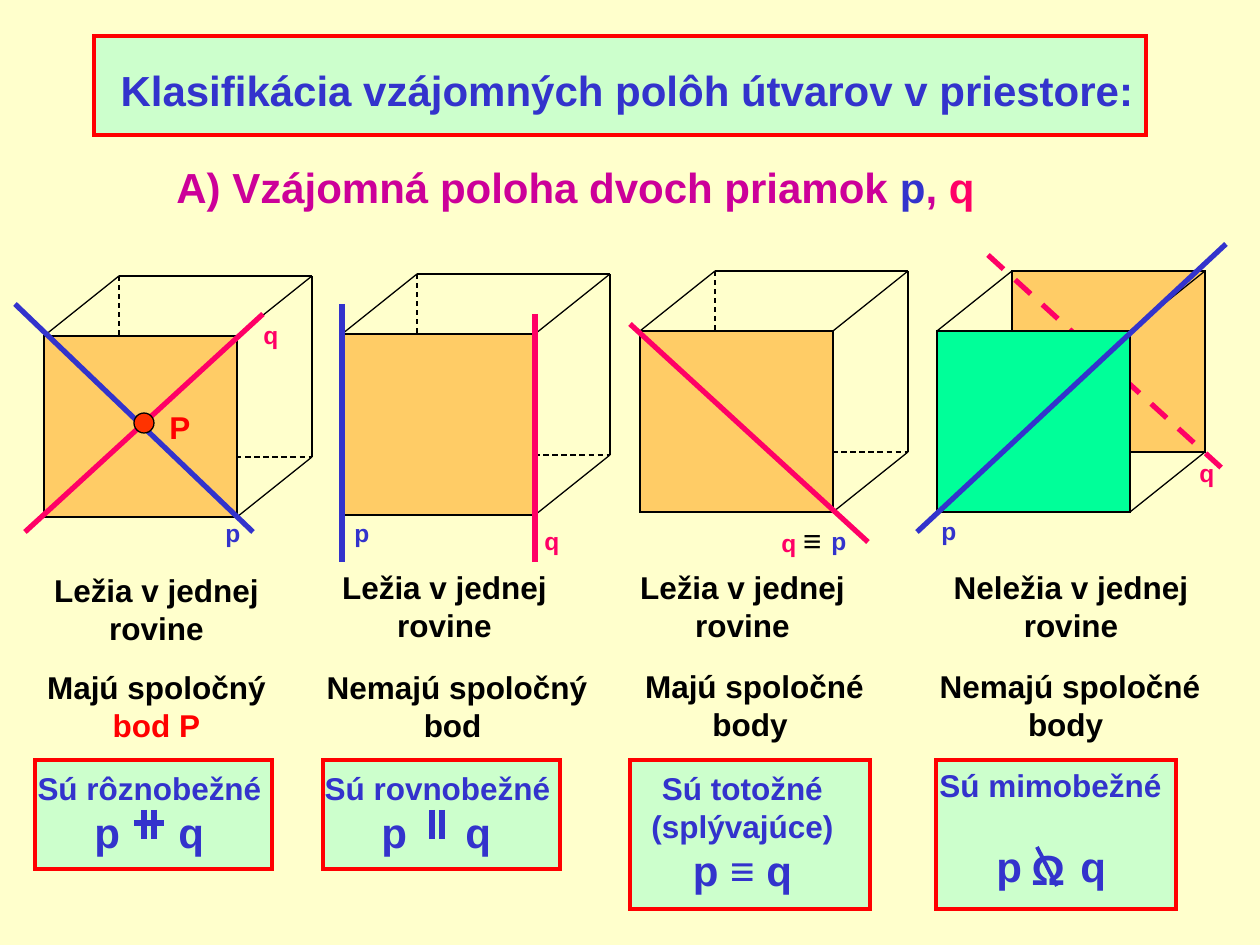
"""Build a slide that sorts the mutual positions of two lines in space."""
from dataclasses import dataclass
from typing import NamedTuple

from lxml import etree
from pptx import Presentation
from pptx import util as u
from pptx.dml.color import RGBColor
from pptx.enum import dml, shapes, text
from pptx.oxml.ns import qn

SCALE = 9144000 / 1260


@dataclass(frozen=True)
class Theme:
    font: str = "Arial"
    page: str = "FFFFCC"
    panel: str = "CCFFCC"
    face: str = "FFCC66"
    front: str = "00FF99"
    ink: str = "000000"
    red: str = "FF0000"
    dot: str = "FF3300"
    p: str = "3333CC"
    q: str = "FF0066"
    head: str = "CC0099"
    big: int = 24
    mid: int = 18
    small: int = 14
    thin: float = 0.75
    edge: float = 2
    slash: float = 2.25
    thick: float = 3


T = Theme()


class Box(NamedTuple):
    x: int
    y: int
    w: int
    h: int


class Run(NamedTuple):
    txt: str
    size: int = T.mid
    tint: str = T.ink
    bold: bool = True


class Row(NamedTuple):
    runs: tuple
    mid: bool = True
    gap: int = 0
    tabs: tuple = ()


class Stroke(NamedTuple):
    x1: int
    y1: int
    x2: int
    y2: int
    tint: str = T.ink
    width: float = T.thin
    dash: bool = False


class Label(NamedTuple):
    box: Box
    runs: tuple
    wrap: bool = False


@dataclass(frozen=True)
class Case:
    cube: tuple
    plane: Box
    share: Box
    panel: Box
    claim: Box
    words: tuple
    rows: tuple
    lines: tuple
    signs: tuple
    labels: tuple
    face: str = T.face
    last: str = T.ink
    rear: tuple = ()


def px(val: float) -> int:
    return round(val * SCALE)


def rgb(tint: str) -> RGBColor:
    return RGBColor.from_string(tint)


def place(box: Box) -> list:
    return [px(v) for v in box]


def write(frame, rows, wrap: bool = False) -> None:
    form = {"word_wrap": wrap, "auto_size": text.MSO_AUTO_SIZE.SHAPE_TO_FIT_TEXT,
            "vertical_anchor": text.MSO_ANCHOR.TOP}
    for key, val in form.items():
        setattr(frame, key, val)
    for i, row in enumerate(rows):
        para = frame.add_paragraph() if i else frame.paragraphs[0]
        para.alignment = text.PP_ALIGN.CENTER if row.mid else text.PP_ALIGN.LEFT
        if row.gap:
            para.space_before = u.Pt(row.gap)
        if row.tabs:
            stops = etree.SubElement(para._p.get_or_add_pPr(), qn("a:tabLst"))
            for pos in row.tabs:
                etree.SubElement(stops, qn("a:tab"), pos=str(px(pos)), algn="l")
        for part in row.runs:
            run = para.add_run()
            run.text = part.txt
            for key, val in {"name": T.font, "size": u.Pt(part.size), "bold": part.bold}.items():
                setattr(run.font, key, val)
            run.font.color.rgb = rgb(part.tint)


def note(slide, box: Box, rows, wrap: bool = False) -> None:
    write(slide.shapes.add_textbox(*place(box)).text_frame, rows, wrap)


def solid(slide, box: Box, fill: str, tint: str = T.ink, width: float = T.thin,
          kind=shapes.MSO_SHAPE.RECTANGLE):
    item = slide.shapes.add_shape(kind, *place(box))
    item.shadow.inherit = False
    item.fill.solid()
    item.fill.fore_color.rgb = rgb(fill)
    item.line.color.rgb = rgb(tint)
    item.line.width = u.Pt(width)
    etree.SubElement(item._element.spPr.find(qn("a:ln")), qn("a:miter"), lim="800000")
    return item


def draw(home, line: Stroke) -> None:
    item = home.shapes.add_connector(shapes.MSO_CONNECTOR.STRAIGHT, *[px(v) for v in line[:4]])
    item.line.color.rgb = rgb(line.tint)
    item.line.width = u.Pt(line.width)
    if line.dash:
        item.line.dash_style = dml.MSO_LINE.DASH
    etree.SubElement(item._element.spPr, qn("a:effectLst"))


def cube(slide, case: Case) -> None:
    x, y = case.cube
    right, base, far, top = x + 193, y + 181, x + 75, y - 60
    end, low = right + 75, base - 60
    if case.rear:
        solid(slide, Box(far, top, 193, 181), T.face)
    group = slide.shapes.add_group_shape()
    for ends in ((right, base, end, low), (x, y, far, top), (right, y, end, top)):
        draw(group, Stroke(*ends))
    if not case.rear:
        for ends in ((end, top, end, low), (far, top, end, top)):
            draw(group, Stroke(*ends))
        for ends in ((far, low, end, low), (far, top, far, low)):
            draw(group, Stroke(*ends, dash=True))
    for line in case.rear:
        draw(slide, line)
    solid(slide, Box(x, y, 193, 181), case.face)


def show(slide, case: Case) -> None:
    cube(slide, case)
    for line in case.lines:
        draw(slide, line)
    first, third, fourth = case.words
    note(slide, case.plane, (Row((Run(first),)), Row((Run("rovine"),))))
    note(slide, case.share, (Row((Run(third),)), Row((Run(fourth, tint=case.last),))))
    solid(slide, case.panel, T.panel, T.red, T.edge)
    note(slide, case.claim, case.rows)
    for tag in case.labels:
        note(slide, tag.box, (Row(tag.runs, mid=False),), tag.wrap)
    for line in case.signs:
        draw(slide, line)


def claim(txt: str, gap: int = 0) -> tuple:
    return (Row((Run(txt, tint=T.p),)),
            Row((Run("\tp\tq", T.big, T.p),), mid=False, gap=gap, tabs=(61, 145)))


def tag(name: str, x: int, y: int) -> Label:
    return Label(Box(x, y, 40, 43), (Run(name, T.small, getattr(T, name)),))


def bold(name: str, *ends: int, dash: bool = False) -> Stroke:
    return Stroke(*ends, getattr(T, name), T.thick, dash)


CASES = (
    Case((44, 336), Box(38, 565, 237, 88), Box(31, 662, 251, 88), Box(35, 760, 237, 109),
         Box(21, 763, 257, 101), ("Ležia v jednej", "Majú spoločný", "bod P"),
         claim("Sú rôznobežné"),
         (bold("p", 15, 304, 253, 532), bold("q", 263, 314, 25, 532)),
         (bold("p", 144, 810, 144, 839), bold("p", 154, 810, 154, 839),
          bold("p", 134, 823, 164, 823)),
         (tag("p", 213, 512), tag("q", 251, 314),
          Label(Box(157, 402, 45, 50), (Run("P", tint=T.red),))), last=T.red),
    Case((342, 334), Box(326, 562, 237, 88), Box(310, 662, 294, 88), Box(323, 760, 237, 109),
         Box(308, 763, 259, 101), ("Ležia v jednej", "Nemajú spoločný", "bod "),
         claim("Sú rovnobežné"),
         (bold("q", 535, 314, 535, 562), bold("p", 342, 304, 342, 562)),
         (bold("p", 432, 810, 432, 839), bold("p", 442, 810, 442, 839)),
         (tag("p", 342, 512), tag("q", 532, 520))),
    Case((640, 331), Box(624, 562, 237, 88), Box(629, 661, 251, 88), Box(630, 760, 240, 149),
         Box(635, 763, 215, 139), ("Ležia v jednej", "Majú spoločné", "body "),
         tuple(Row((Run(txt, size, T.p),)) for txt, size in
               (("Sú totožné", T.mid), ("(splývajúce)", T.mid), ("p ≡ q", T.big))),
         (bold("q", 630, 324, 868, 542),), (),
         (tag("p", 819, 520),
          Label(Box(769, 515, 78, 50), (Run("q ", T.small, T.q), Run("≡", bold=False)), True))),
    Case((937, 331), Box(937, 562, 268, 88), Box(923, 661, 294, 88), Box(936, 760, 240, 149),
         Box(923, 760, 255, 139), ("Neležia v jednej", "Nemajú spoločné", "body "),
         claim("Sú mimobežné", gap=21),
         (bold("p", 1226, 244, 917, 532),), (Stroke(1037, 847, 1057, 886, T.p, T.slash),),
         (tag("q", 1187, 452), tag("p", 929, 510),
          Label(Box(1019, 837, 77, 63), (Run("Ω", T.big, T.p),), True)),
         face=T.front, rear=(bold("q", 988, 255, 1226, 472, dash=True),)),
)


def main() -> None:
    deck = Presentation()
    deck.slide_width, deck.slide_height = px(1260), px(945)
    slide = deck.slides.add_slide(deck.slide_layouts[5])
    slide.background.fill.solid()
    slide.background.fill.fore_color.rgb = rgb(T.page)
    title = slide.shapes.title
    for key, val in zip(("left", "top", "width", "height"), place(Box(104, 58, 1046, 63))):
        setattr(title, key, val)
    write(title.text_frame,
          (Row((Run("Klasifikácia vzájomných polôh útvarov v priestore:", T.big, T.p),)),))
    frame = solid(slide, Box(94, 36, 1052, 99), T.panel, T.red, T.edge)
    title.element.addprevious(frame.element)
    parts = (("A) Vzájomná poloha dvoch priamok ", T.head), ("p", T.p), (", ", T.head), ("q", T.q))
    note(slide, Box(164, 155, 823, 63),
         (Row(tuple(Run(txt, T.big, tint) for txt, tint in parts), mid=False),))
    for case in CASES:
        show(slide, case)
    solid(slide, Box(134, 413, 20, 20), T.dot, kind=shapes.MSO_SHAPE.OVAL)
    deck.save("out.pptx")


if __name__ == "__main__":
    main()
